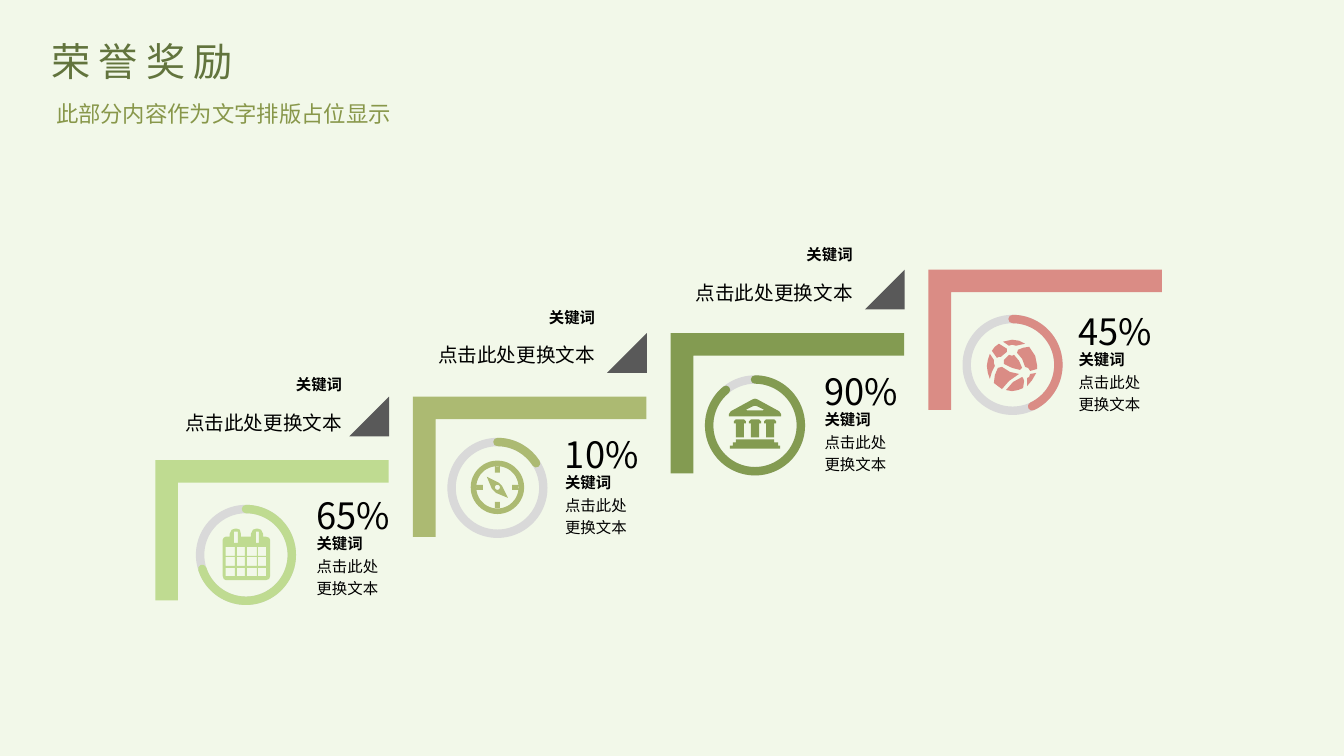
import math

import pptx
import pptx.dml.color
import pptx.enum.shapes
import pptx.enum.text
import pptx.util
from pptx.oxml.ns import qn

RGBColor = pptx.dml.color.RGBColor
SHAPE = pptx.enum.shapes.MSO_SHAPE
ALIGN = pptx.enum.text.PP_ALIGN
ANCHOR = pptx.enum.text.MSO_ANCHOR

PAPER = RGBColor(0xF2, 0xF8, 0xE9)
MINT = RGBColor(0xBF, 0xDB, 0x91)
OLIVE = RGBColor(0xAC, 0xBA, 0x72)
MOSS = RGBColor(0x83, 0x9B, 0x51)
CORAL = RGBColor(0xDA, 0x8C, 0x85)
CHARCOAL = RGBColor(0x59, 0x59, 0x59)
TRACK = RGBColor(0xD9, 0xD9, 0xD9)
BLACK = RGBColor(0, 0, 0)
TITLE = RGBColor(0x62, 0x74, 0x3D)
SUBTITLE = RGBColor(0x88, 0x97, 0x4A)

KEYWORD = "关键词"
BODY = "点击此处更换文本"


def box(left, top, right, bottom):
    return [(left, top), (right, top), (right, bottom), (left, bottom)]


def circle(center, radius, sides=48):
    turns = [2 * math.pi * side / sides for side in range(sides)]
    return [(center + radius * math.cos(turn), center + radius * math.sin(turn)) for turn in turns]


# Icon outlines, in tenths of a grid cell; an outline inside another is a hole.
CALENDAR = [
    [(47, 47), (46, 50), (43, 51), (3, 51), (1, 50), (0, 47), (0, 11), (1, 9), (3, 8), (7, 8),
     (7, 5), (9, 1), (12, 0), (14, 0), (17, 1), (18, 5), (18, 8), (28, 8), (28, 5), (30, 1),
     (33, 0), (35, 0), (38, 1), (40, 5), (40, 8), (43, 8), (46, 9), (47, 11)],
    box(11, 3, 15, 14), box(33, 3, 36, 14),
    *[box(left, top, right, bottom)
      for left, right in ((3, 12), (14, 22), (24, 34), (35, 43))
      for top, bottom in ((18, 27), (28, 37), (39, 47))],
]
COMPASS = [
    circle(26.5, 26.5), circle(26.5, 21),
    box(24, 6, 29, 12), box(24, 41, 29, 47), box(6, 24, 12, 29), box(41, 24, 47, 29),
    [(28, 22), (16, 16), (21, 28), (25, 32), (37, 37), (31, 25)],
    circle(26.5, 2.5),
]
TEMPLE = [
    [(7, 40), (45, 40), (45, 43), (49, 43), (49, 46), (51, 46), (51, 49), (1, 49), (1, 46),
     (4, 46), (4, 43), (7, 43)],
    *[[(x + shift, y) for x, y in [(7, 20), (15, 20), (17, 22), (17, 24), (15, 24), (15, 38),
                                   (7, 38), (7, 24), (5, 24), (5, 22)]]
      for shift in (0, 15, 30)],
    [(24, 0), (26, -0.5), (28, 0), (50, 12), (52, 15), (52, 17), (0, 17), (0, 15), (2, 12)],
    [(24, 7), (17, 10.5), (18, 11), (34, 11), (35, 10.5), (28, 7), (26, 6.5)],
]
GLOBE = [
    [(35, 37), (26, 42), (19, 50), (25, 51), (31, 50), (36, 48), (37, 41), (36, 38)],
    [(42, 7), (36, 8), (31, 10), (30, 13), (35, 19), (38, 27), (41, 28), (43, 31), (50, 29),
     (50, 26), (48, 16)],
    [(32, 34), (23, 32), (15, 27), (11, 28), (8, 35), (7, 43), (11, 46), (15, 49), (22, 41)],
    [(40, 38), (40, 46), (45, 40), (49, 33), (43, 34), (42, 37)],
    [(33, 30), (35, 28), (32, 21), (27, 15), (25, 16), (22, 15), (17, 20), (17, 24), (25, 28)],
    [(25, 5), (29, 6), (38, 4), (32, 1), (25, 0), (16, 2), (22, 6)],
    [(7, 23), (7, 20), (3, 14), (1, 20), (0, 26), (1, 33), (3, 39), (5, 32), (8, 26)],
    [(12, 17), (14, 17), (20, 12), (20, 9), (12, 4), (8, 7), (5, 11), (10, 18)],
]

# Colour, ring corner, arc end in degrees, share, share corner, icon, icon corner
STEPS = [
    (MINT, (19.85, 50.5), 162.3, "65%", (31.4, 48.95), CALENDAR, (22.1, 52.45)),
    (OLIVE, (44.8, 43.85), 327.5, "10%", (56.05, 42.9), COMPASS, (46.7, 45.7)),
    (MOSS, (70.35, 37.65), 230.8, "90%", (81.8, 36.65), TEMPLE, (72.3, 39.6)),
    (CORAL, (95.9, 31.65), 64.8, "45%", (107, 30.7), GLOBE, (97.9, 33.7)),
]
CAPTIONS = [(28.75, 37.1), (53.85, 30.45), (79.4, 24.25)]
STEP_COLUMNS, STEP_ROWS = 25.57, 6.3


class Stairs:
    """A slide on a grid of 133.33 columns and 75 rows."""

    font = "Noto Sans CJK SC"
    cell = pptx.util.Inches(0.1)

    def __init__(self, presentation):
        presentation.slide_width = self.span(133.33)
        presentation.slide_height = self.span(75)
        self.slide = presentation.slides.add_slide(presentation.slide_layouts[6])
        self.slide.background.fill.solid()
        self.slide.background.fill.fore_color.rgb = PAPER

    def span(self, cells):
        return round(cells * self.cell)

    def paint(self, shape, color):
        shape.shadow.inherit = False
        shape.fill.solid()
        shape.fill.fore_color.rgb = color
        shape.line.fill.background()

    def preset(self, kind, left, top, width, height, color, adjustments):
        shape = self.slide.shapes.add_shape(kind, *map(self.span, (left, top, width, height)))
        for index, value in enumerate(adjustments):
            shape.adjustments[index] = value
        self.paint(shape, color)
        return shape

    def bracket(self, left, top, color):
        """Draw an L whose arms run right and down from its corner."""
        width, height = 23.15, 13.9
        shift = (width - height) / 2
        shape = self.preset(SHAPE.CORNER, left + shift, top - shift, height, width, color,
                            [0.161, 0.161])
        shape.rotation = 90

    def ring(self, kind, left, top, color, adjustments=()):
        shape = self.preset(kind, left, top, 9.1, 9.1, color, adjustments)
        shape.fill.background()
        shape.line.color.rgb = color
        shape.line.width = pptx.util.Pt(6)
        shape.line._get_or_add_ln().set("cap", "rnd")

    def gauge(self, left, top, end, color):
        self.ring(SHAPE.OVAL, left, top, TRACK)
        # One adjustment unit is 100000 / 60000 of a degree.
        self.ring(SHAPE.ARC, left, top, color, [270 * 0.6, end * 0.6])

    def icon(self, left, top, outlines, color):
        fine = [[(x * 10, y * 10) for x, y in outline] for outline in outlines]
        builder = self.slide.shapes.build_freeform(*fine[0][0], scale=self.cell / 100)
        for index, outline in enumerate(fine):
            if index:
                builder.move_to(*outline[0])
            builder.add_line_segments(outline[1:], close=True)
        self.paint(builder.convert_to_shape(self.span(left), self.span(top)), color)

    def text(self, words, left, top, width, height, size, color=BLACK, bold=False,
             align=ALIGN.LEFT, wrap=False, leading=None, middle=False, inset=(0, 0), tracking=0):
        shape = self.slide.shapes.add_textbox(*map(self.span, (left, top, width, height)))
        frame = shape.text_frame
        frame.word_wrap = wrap
        frame.vertical_anchor = ANCHOR.MIDDLE if middle else ANCHOR.TOP
        frame.margin_left = frame.margin_right = self.span(inset[0])
        frame.margin_top = frame.margin_bottom = self.span(inset[1])
        paragraph = frame.paragraphs[0]
        paragraph.text = words
        paragraph.alignment = align
        paragraph.line_spacing = leading
        paragraph.font.size = pptx.util.Pt(size)
        paragraph.font.bold = bold
        paragraph.font.color.rgb = color
        paragraph.font.name = self.font
        properties = paragraph._p.get_or_add_pPr().find(qn("a:defRPr"))
        east_asian = properties.makeelement(qn("a:ea"), {"typeface": self.font})
        properties.find(qn("a:latin")).addnext(east_asian)
        if tracking:
            properties.set("spc", str(tracking * 100))

    def keyword(self, left, top, align=ALIGN.LEFT):
        self.text(KEYWORD, left, top, 5.2, 2, 11, bold=True, align=align, middle=True)


def main():
    presentation = pptx.Presentation()
    stairs = Stairs(presentation)
    for index, (color, ring, end, share, corner, outlines, place) in enumerate(STEPS):
        stairs.bracket(15.4 + index * STEP_COLUMNS, 45.65 - index * STEP_ROWS, color)
        stairs.gauge(*ring, end, color)
        stairs.icon(*place, outlines, color)
        left, top = corner
        stairs.text(share, left, top, 8, 3.9, 25.9)
        stairs.keyword(left, top + 3.95)
        stairs.text(BODY, left, top + 5.95, 7.2, 5.1, 11, wrap=True, leading=1.2)
    for index, (left, top) in enumerate(CAPTIONS):
        stairs.preset(SHAPE.ISOSCELES_TRIANGLE, 34.65 + index * STEP_COLUMNS,
                      39.35 - index * STEP_ROWS, 3.95, 3.95, CHARCOAL, [1])
        stairs.keyword(left, top, ALIGN.RIGHT)
        stairs.text(BODY, left - 12.6, top + 3.15, 17.8, 4.9, 14, align=ALIGN.RIGHT, wrap=True,
                    leading=1.2)
    stairs.text("荣誉奖励", 4.1, 3.2, 27.5, 5.7, 28, TITLE, wrap=True, inset=(1, 0.5), tracking=6)
    stairs.text("此部分内容作为文字排版占位显示", 4.1, 8.9, 35.7, 4, 16, SUBTITLE,
                align=ALIGN.RIGHT, leading=1.2, inset=(1, 0.5))
    presentation.save("out.pptx")


if __name__ == "__main__":
    main()
